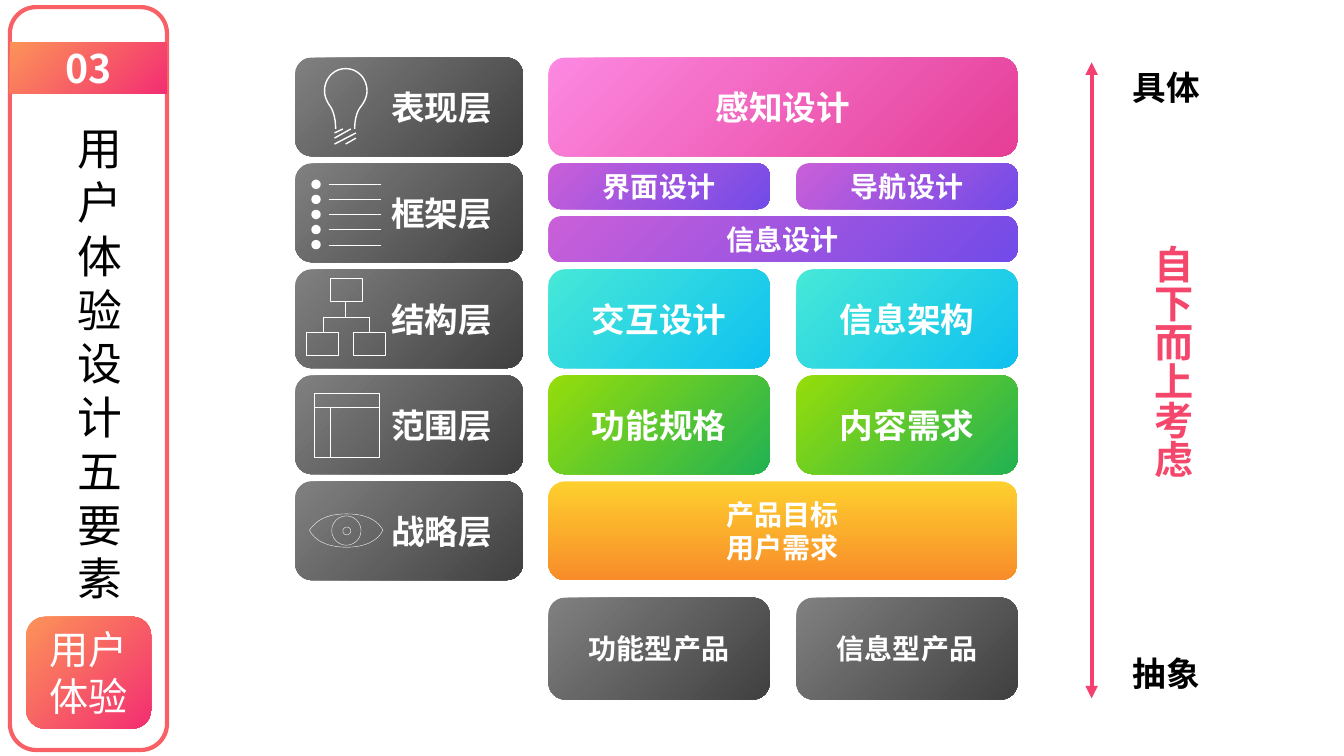
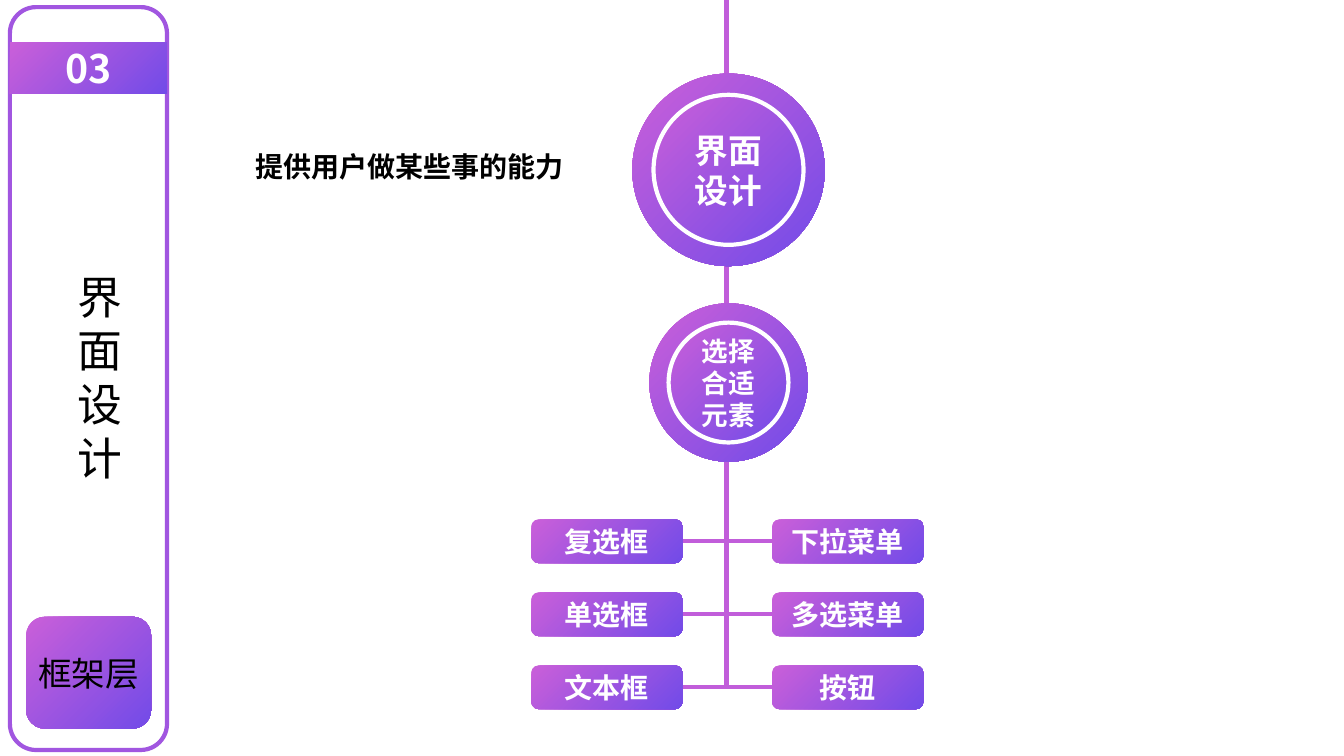
from dataclasses import dataclass

from lxml import etree
from pptx import Presentation
from pptx.dml.color import RGBColor
from pptx.enum.shapes import MSO_CONNECTOR, MSO_SHAPE
from pptx.enum.text import MSO_ANCHOR, PP_ALIGN
from pptx.oxml.ns import qn
from pptx.util import Cm, Pt

ROUND, RECT, OVAL = MSO_SHAPE.ROUNDED_RECTANGLE, MSO_SHAPE.RECTANGLE, MSO_SHAPE.OVAL
STRAIGHT = MSO_CONNECTOR.STRAIGHT
MIDDLE, CENTER = MSO_ANCHOR.MIDDLE, PP_ALIGN.CENTER


@dataclass(frozen=True)
class Theme:
    font: str = "Noto Sans CJK SC"
    white: str = "FFFFFF"
    black: str = "000000"
    axis: str = "F53F6F"
    direction: str = "F5466C"
    spine: str = "C15DDA"
    coral_edge: str = "F86065"
    violet_edge: str = "A156E0"
    coral: tuple = ("FC9358", "F32E72")
    violet: tuple = ("CA5FD9", "724BE8")
    gray: tuple = ("808080", "404040")
    pink: tuple = ("FC88E1", "E53E96")
    cyan: tuple = ("46E8D7", "0FC1F0")
    green: tuple = ("96DD0A", "21B253")
    orange: tuple = ("FED02E", "F88C2A")
    title: int = 32
    banner: int = 28
    heading: int = 24
    label: int = 20
    small: int = 19
    leading: float = 1.2
    hairline: float = 0.25
    thick: float = 3


T = Theme()


def block(shapes, kind, box, text="", size=T.label, color=T.white, bold=True,
          fill=None, angle=315, outline=None, weight=T.thick, insets=(0.25, 0.25)):
    frame = [Cm(v) for v in box]
    if kind is None:
        shape = shapes.add_textbox(*frame)
    else:
        shape = shapes.add_shape(kind, *frame)
        shape.shadow.inherit = False
        if isinstance(fill, tuple):
            shape.fill.gradient()
            shape.fill.gradient_angle = angle
            for stop, shade in zip(shape.fill.gradient_stops, fill):
                stop.color.rgb = RGBColor.from_string(shade)
        elif fill:
            shape.fill.solid()
            shape.fill.fore_color.rgb = RGBColor.from_string(fill)
        else:
            shape.fill.background()
        if outline:
            shape.line.color.rgb = RGBColor.from_string(outline)
            shape.line.width = Pt(weight)
        else:
            shape.line.fill.background()
    if text:
        body = shape.text_frame
        body.text = text
        body.word_wrap = True
        body.vertical_anchor = MIDDLE
        body.margin_left, body.margin_right = (Cm(v) for v in insets)
        for paragraph in body.paragraphs:
            paragraph.alignment = CENTER
            paragraph.line_spacing = Pt(size * T.leading)
            for run in paragraph.runs:
                run.font.size = Pt(size)
                run.font.bold = bold
                run.font.color.rgb = RGBColor.from_string(color)
                run.font.name = T.font
                east_asian = etree.SubElement(run.font._element, qn("a:ea"))
                east_asian.set("typeface", T.font)
    return shape


def stroke(shapes, x1, y1, x2, y2, color=T.white, weight=T.hairline, arrows=False):
    line = shapes.add_connector(STRAIGHT, Cm(x1), Cm(y1), Cm(x2), Cm(y2))
    line.line.color.rgb = RGBColor.from_string(color)
    line.line.width = Pt(weight)
    properties = line.element.spPr
    if arrows:
        for end in ("a:headEnd", "a:tailEnd"):
            etree.SubElement(properties.find(qn("a:ln")), qn(end)).set("type", "triangle")
    etree.SubElement(properties, qn("a:effectLst"))


prs = Presentation()
prs.slide_width, prs.slide_height = Cm(33.87), Cm(19.05)

sidebars = [
    ("用户体验设计五要素", 2.9, "用户体验", T.banner, T.white, T.coral, T.coral_edge),
    ("界面设计", 6.65, "框架层", T.heading, T.black, T.violet, T.violet_edge),
]
pages = []
for title, title_top, badge, badge_size, badge_color, gradient, edge in sidebars:
    page = prs.slides.add_slide(prs.slide_layouts[6]).shapes
    block(page, ROUND, (0.25, 0.18, 3.96, 18.72), fill=T.white, outline=edge)
    block(page, None, (1.6, title_top, 1.83, 0.25 + 1.36 * len(title)), title,
          T.title, T.black, bold=False)
    block(page, ROUND, (0.66, 15.54, 3.15, 2.82), badge, badge_size, badge_color,
          bold=False, fill=gradient, insets=(0.1, 0.1))
    block(page, RECT, (0.25, 1.07, 3.96, 1.3), "03", T.banner, fill=gradient)
    pages.append(page)
elements, interface = pages

layer_top, layer_pitch, layer_height = 1.45, 2.67, 2.49
left_column, right_column, half, full = 13.82, 20.07, 5.58, 11.82
layers = [
    ("表现层", T.pink, ["感知设计"]),
    ("框架层", T.violet, []),
    ("结构层", T.cyan, ["交互设计", "信息架构"]),
    ("范围层", T.green, ["功能规格", "内容需求"]),
    ("战略层", T.orange, ["产品目标\n用户需求"]),
]
for row, (layer, gradient, topics) in enumerate(layers):
    top = layer_top + row * layer_pitch
    block(elements, ROUND, (7.44, top, 5.74, layer_height), layer, T.heading,
          fill=T.gray, insets=(1.88, 0.25))
    width = full if len(topics) == 1 else half
    for left, topic in zip((left_column, right_column), topics):
        block(elements, ROUND, (left, top, width, layer_height), topic,
              T.label if "\n" in topic else T.heading, fill=gradient,
              angle=270 if gradient == T.orange else 315)

for topic, left, top, width in [
    ("界面设计", left_column, 4.12, half),
    ("导航设计", right_column, 4.12, half),
    ("信息设计", left_column, 5.45, full),
]:
    bar = block(elements, ROUND, (left, top, width, 1.15), topic, fill=T.violet)
    bar.adjustments[0] = 0.27
for product, left in [("功能型产品", left_column), ("信息型产品", right_column)]:
    block(elements, ROUND, (left, 15.06, half, 2.57), product, fill=T.gray)

stroke(elements, 27.51, 1.57, 27.51, 17.6, T.axis, T.thick, arrows=True)
for extreme, top in [("具体", 1.57), ("抽象", 16.33)]:
    block(elements, None, (28.22, top, 2.34, 1.27), extreme, T.heading, T.black)
direction = block(elements, None, (28.69, 5.92, 1.7, 6.45), "自下而上考虑",
                  T.banner, T.direction)
direction.text_frame._txBody.bodyPr.set("vert", "eaVert")

bulb, checklist, tree, layout, eye = (
    elements.add_group_shape().shapes for _ in layers)

bulb_curve = [
    (8.46, 3.25), (8.46, 3.02), (8.41, 2.82), (8.33, 2.69),
    (8.24, 2.57), (8.18, 2.43), (8.18, 2.29),
    (8.18, 1.98), (8.41, 1.73), (8.71, 1.73),
    (9.02, 1.73), (9.25, 1.98), (9.25, 2.29),
    (9.25, 2.43), (9.19, 2.57), (9.09, 2.69),
    (8.99, 2.82), (8.94, 3.02), (8.94, 3.25),
]
eye_curve = [
    (7.8, 13.36), (7.98, 13.11), (8.23, 12.95), (8.74, 12.95),
    (9.25, 12.95), (9.53, 13.13), (9.65, 13.36),
    (9.55, 13.59), (9.25, 13.79), (8.74, 13.79),
    (8.23, 13.79), (7.92, 13.61), (7.8, 13.36),
]
steps = 12
for icon, curve, weight, closed in [
    (bulb, bulb_curve, 1, False), (eye, eye_curve, T.hairline, True)
]:
    points = []
    for start in range(0, len(curve) - 1, 3):
        for step in range(1, steps + 1):
            t = step / steps
            weights = ((1 - t) ** 3, 3 * t * (1 - t) ** 2, 3 * t * t * (1 - t), t ** 3)
            points.append(tuple(
                Cm(sum(w * p[axis] for w, p in zip(weights, curve[start:start + 4])))
                for axis in (0, 1)))
    builder = icon.build_freeform(Cm(curve[0][0]), Cm(curve[0][1]))
    builder.add_line_segments(points, close=closed)
    contour = builder.convert_to_shape()
    contour.shadow.inherit = False
    contour.fill.background()
    contour.line.color.rgb = RGBColor.from_string(T.white)
    contour.line.width = Pt(weight)

for thread in [(8.43, 3.35, 8.64, 3.25), (8.43, 3.48, 8.84, 3.25),
               (8.43, 3.63, 8.97, 3.35), (8.71, 3.63, 8.97, 3.48)]:
    stroke(bulb, *thread, weight=1)

for item in range(5):
    y = 4.65 + 0.38 * item
    stroke(checklist, 8.28, y, 9.6, y, weight=0.5)
    block(checklist, OVAL, (7.9, y - 0.07, 0.13, 0.13), fill=T.white, outline=T.white)

for left, top in [(8.31, 7.01), (7.72, 8.36), (8.89, 8.36)]:
    block(tree, RECT, (left, top, 0.81, 0.58), outline=T.white, weight=T.hairline)
for branch in [(8.71, 7.59, 8.71, 7.98), (8.15, 7.98, 9.3, 7.98),
               (8.15, 7.98, 8.15, 8.36), (9.3, 7.98, 9.3, 8.36)]:
    stroke(tree, *branch)

block(layout, RECT, (7.92, 9.91, 1.63, 1.6), outline=T.white, weight=T.hairline)
stroke(layout, 7.92, 10.27, 9.55, 10.27)
stroke(layout, 8.31, 10.27, 8.31, 11.51)

for left, top, diameter in [(8.36, 13, 0.74), (8.64, 13.28, 0.2)]:
    block(eye, OVAL, (left, top, diameter, diameter), outline=T.white, weight=T.hairline)

spine_x, first_row, row_pitch = 18.31, 13.64, 1.84
control_width, control_height = 3.81, 1.1
controls = [("复选框", "下拉菜单"), ("单选框", "多选菜单"), ("文本框", "按钮")]
stroke(interface, spine_x, 0, spine_x, first_row + 2 * row_pitch, T.spine, T.thick)
for row, pair in enumerate(controls):
    y = first_row + row * row_pitch
    stroke(interface, 17.2, y, 19.46, y, T.spine, T.thick)
    for left, control in zip((13.39, 19.46), pair):
        block(interface, ROUND, (left, y - control_height / 2, control_width, control_height),
              control, fill=T.violet)

for goal, size, y, outer, inner in [
    ("界面设计", T.heading, 4.28, 4.85, 3.78),
    ("选择合适元素", T.small, 9.64, 3.99, 3.02),
]:
    for diameter, text, ring in [(outer, "", None), (inner, goal, T.white)]:
        block(interface, OVAL, (18.36 - diameter / 2, y - diameter / 2, diameter, diameter),
              text, size, fill=T.violet, outline=ring)
block(interface, None, (6.03, 3.63, 8.6, 1.12), "提供用户做某些事的能力", color=T.black)

prs.save("out.pptx")
